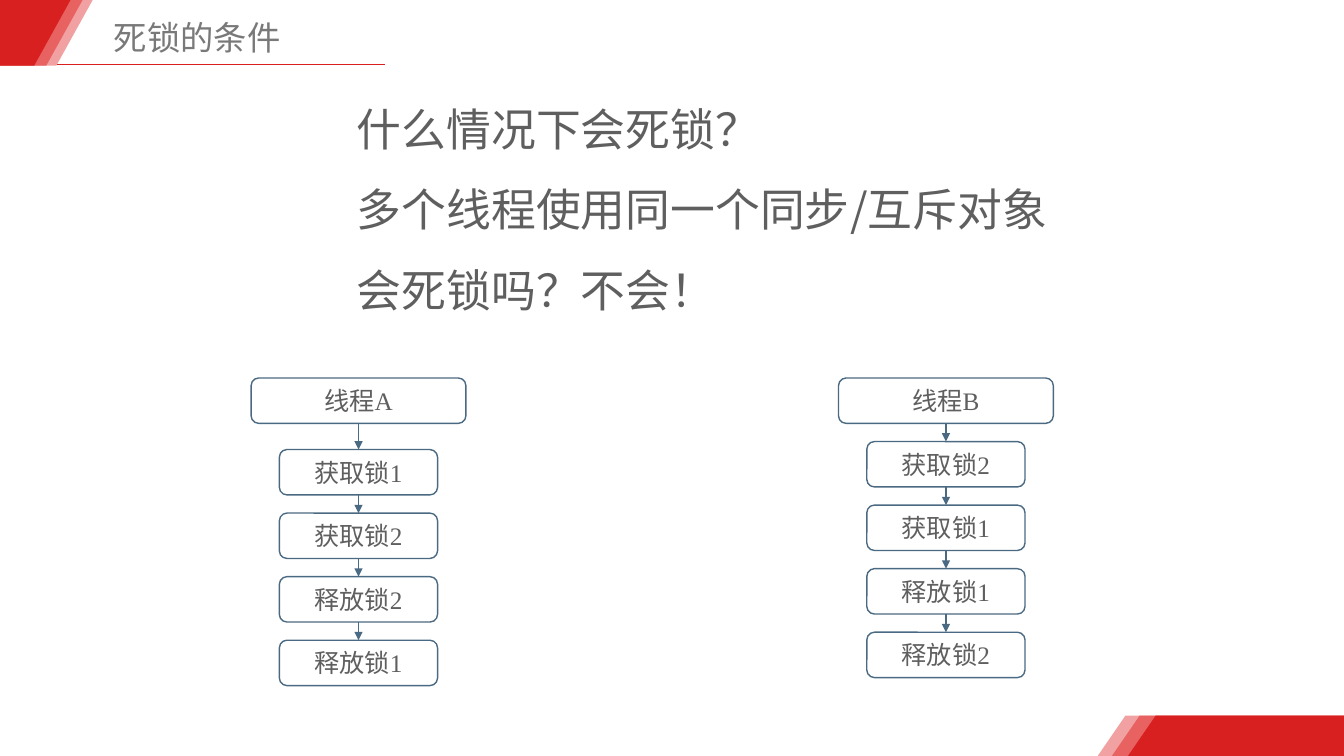
from lxml import etree
from pptx import Presentation
from pptx.dml.color import RGBColor
from pptx.enum.shapes import MSO_CONNECTOR, MSO_SHAPE
from pptx.enum.text import MSO_ANCHOR, MSO_AUTO_SIZE, PP_ALIGN
from pptx.oxml.ns import qn
from pptx.util import Pt

STRAIGHT = MSO_CONNECTOR.STRAIGHT
ROUNDED = MSO_SHAPE.ROUNDED_RECTANGLE
MIDDLE, TOP = MSO_ANCHOR.MIDDLE, MSO_ANCHOR.TOP
LEFT, CENTER = PP_ALIGN.LEFT, PP_ALIGN.CENTER
NO_AUTOFIT = MSO_AUTO_SIZE.NONE
BOTTOM_SITE, TOP_SITE = 2, 0

TITLE = "死锁的条件"
QUESTIONS = ["什么情况下会死锁？", "多个线程使用同一个同步/互斥对象会死锁吗？不会！"]
THREADS = [
    {"name": "线程A", "center": 256.1, "first_step": 321.1,
     "steps": ["获取锁1", "获取锁2", "释放锁2", "释放锁1"]},
    {"name": "线程B", "center": 675.7, "first_step": 315.4,
     "steps": ["获取锁2", "获取锁1", "释放锁1", "释放锁2"]},
]

COLORS = {"red": "D82020", "rose": "E86262", "pink": "F1A1A1", "white": "FFFFFF",
          "title": "797979", "text": "5F5F5F", "outline": "4A6982"}
SANS, SERIF = "Noto Sans CJK SC", "Times New Roman"
WIDTH, HEIGHT = 960, 540
BANNER_HEIGHT, BANNER_SLANT = 46.8, 25.9
FOOTER_TOP, FOOTER_SLANT = 511.2, 19.8
STRIPES = [("pink", 66.2, 784.1), ("rose", 59, 794.2), ("red", 50.4, 805.7)]
HEADER_TOP, HEADER_WIDTH, STEP_WIDTH = 270, 153.4, 113
BOX_HEIGHT, STEP_PITCH = 32.4, 45.4
INSET = 3.6


def color(name):
    return RGBColor.from_string(COLORS[name])


def write(shape, lines, size, font, color_name, align, anchor, spacing=1.0):
    frame = shape.text_frame
    frame.word_wrap = True
    frame.auto_size = NO_AUTOFIT
    frame.vertical_anchor = anchor
    frame.margin_left = frame.margin_right = Pt(INSET)
    frame.margin_top = frame.margin_bottom = Pt(INSET)
    for index, line in enumerate(lines):
        paragraph = frame.add_paragraph() if index else frame.paragraphs[0]
        paragraph.alignment = align
        paragraph.line_spacing = spacing
        run = paragraph.add_run()
        run.text = line
        run.font.size = Pt(size)
        run.font.name = font
        run.font.color.rgb = color(color_name)
        east_asian = etree.SubElement(run.font._element, qn("a:ea"))
        east_asian.set("typeface", SANS)


def add_polygon(points, fill):
    corners = [(Pt(x), Pt(y)) for x, y in points]
    builder = slide.shapes.build_freeform(*corners[0])
    builder.add_line_segments(corners[1:], close=True)
    shape = builder.convert_to_shape()
    shape.shadow.inherit = False
    shape.fill.solid()
    shape.fill.fore_color.rgb = color(fill)
    shape.line.fill.background()


def add_line(color_name, start=(0, 0), end=(0, 0)):
    ends = [Pt(value) for value in (*start, *end)]
    connector = slide.shapes.add_connector(STRAIGHT, *ends)
    connector.line.color.rgb = color(color_name)
    connector.line.width = Pt(1)
    etree.SubElement(connector._element.spPr, qn("a:effectLst"))
    return connector


def add_arrow(upper, lower):
    arrow = add_line("outline")
    arrow.begin_connect(upper, BOTTOM_SITE)
    arrow.end_connect(lower, TOP_SITE)
    etree.SubElement(arrow.line._get_or_add_ln(), qn("a:tailEnd")).set("type", "triangle")


def add_box(label, center, top, width):
    box = slide.shapes.add_shape(ROUNDED, Pt(center - width / 2), Pt(top),
                                 Pt(width), Pt(BOX_HEIGHT))
    box.shadow.inherit = False
    box.fill.solid()
    box.fill.fore_color.rgb = color("white")
    box.line.color.rgb = color("outline")
    box.line.width = Pt(1)
    write(box, [label], 18, SERIF, "text", CENTER, MIDDLE)
    return box


presentation = Presentation()
presentation.slide_width, presentation.slide_height = Pt(WIDTH), Pt(HEIGHT)
slide = presentation.slides.add_slide(presentation.slide_layouts[5])

add_line("red", (35.3, 46.1), (275, 46.1))
for fill, banner_right, footer_left in STRIPES:
    add_polygon([(0, 0), (banner_right, 0),
                 (banner_right - BANNER_SLANT, BANNER_HEIGHT), (0, BANNER_HEIGHT)], fill)
    add_polygon([(footer_left, HEIGHT), (footer_left + FOOTER_SLANT, FOOTER_TOP),
                 (WIDTH, FOOTER_TOP), (WIDTH, HEIGHT)], fill)

title = slide.shapes.title
title.left, title.top, title.width, title.height = Pt(77.8), Pt(3.6), Pt(130.3), Pt(42.5)
write(title, [TITLE], 23.8, SANS, "title", LEFT, MIDDLE, 1.1)

question_box = slide.shapes.add_textbox(Pt(251.3), Pt(49.7), Pt(518.4), Pt(239.8))
write(question_box, QUESTIONS, 32, SANS, "text", LEFT, TOP, 1.5)

for thread in THREADS:
    previous = add_box(thread["name"], thread["center"], HEADER_TOP, HEADER_WIDTH)
    for index, label in enumerate(thread["steps"]):
        top = thread["first_step"] + index * STEP_PITCH
        step = add_box(label, thread["center"], top, STEP_WIDTH)
        add_arrow(previous, step)
        previous = step

presentation.save("out.pptx")
